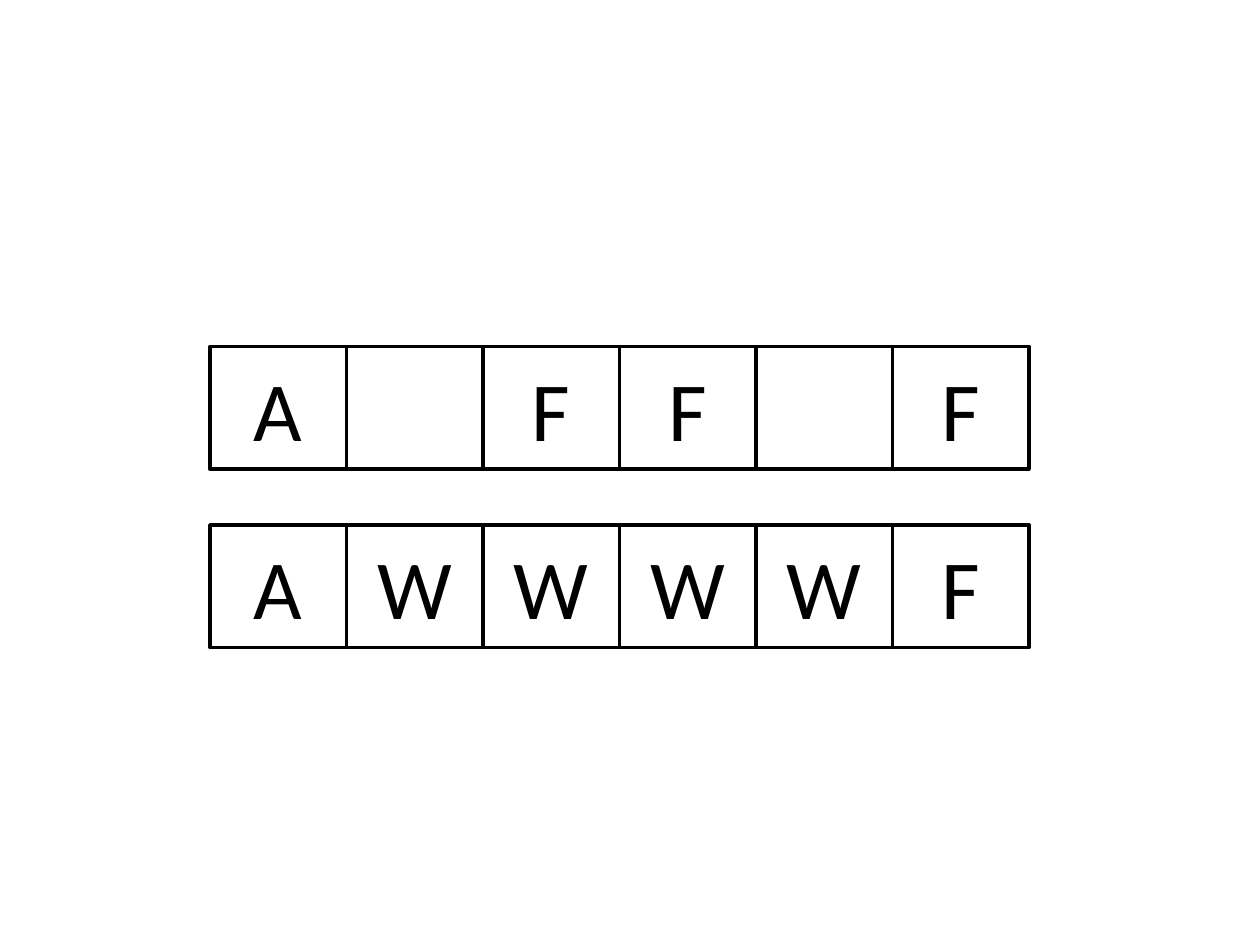
import dataclasses

import pptx
import pptx.dml.color
import pptx.enum.shapes
import pptx.enum.text
import pptx.util

Pt = pptx.util.Pt


@dataclasses.dataclass(frozen=True)
class Theme:
    """Colours, font and sizes of the slide."""
    ink: str = "000000"
    font: str = "Calibri"
    letter_size: float = 48
    border: float = 2


class LetterSlide:
    """Holds the theme and the slide being drawn."""

    def __init__(self, slide, theme):
        """Keep the slide and its theme."""
        self.slide = slide
        self.theme = theme
        self.ink = pptx.dml.color.RGBColor.from_string(theme.ink)

    def cell(self, left, top, width, height, letter):
        """Draw one outlined cell, with its letter if it has one."""
        cell = self.slide.shapes.add_shape(
            pptx.enum.shapes.MSO_SHAPE.RECTANGLE,
            Pt(left), Pt(top), Pt(width), Pt(height))
        cell.shadow.inherit = False
        cell.fill.background()
        cell.line.color.rgb = self.ink
        cell.line.width = Pt(self.theme.border)
        if letter:
            self.add_letter(cell.text_frame, letter)

    def add_letter(self, frame, letter):
        """Centre a letter in a text frame."""
        frame.vertical_anchor = pptx.enum.text.MSO_ANCHOR.MIDDLE
        line = frame.paragraphs[0]
        line.alignment = pptx.enum.text.PP_ALIGN.CENTER
        run = line.add_run()
        run.text = letter
        run.font.name = self.theme.font
        run.font.size = Pt(self.theme.letter_size)
        run.font.color.rgb = self.ink

    def row(self, left, top, width, height, letters):
        """Draw adjoining cells; a blank letter gives an empty cell."""
        for column, letter in enumerate(letters):
            self.cell(left + column * width, top, width, height, letter.strip())


def main():
    """Build and save the slide."""
    deck = pptx.Presentation()
    deck.slide_width, deck.slide_height = Pt(720), Pt(540)
    letters = LetterSlide(deck.slides.add_slide(deck.slide_layouts[6]), Theme())
    for top, word in ((198, "A FF F"), (300, "AWWWWF")):
        letters.row(120, top, 78, 70, word)
    deck.save("out.pptx")


main()
